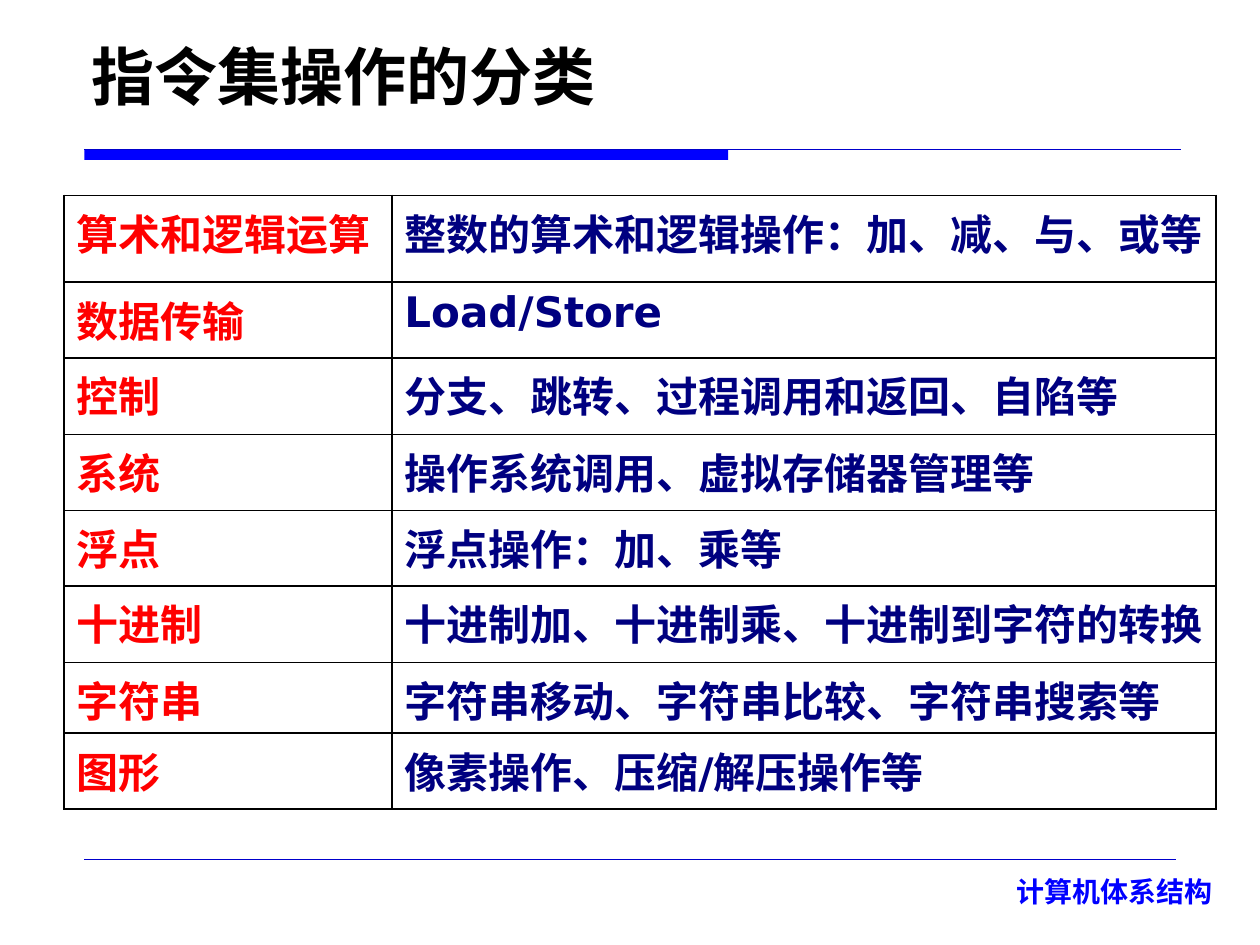
from dataclasses import dataclass

from lxml import etree
from pptx import Presentation
from pptx.dml import color
from pptx.enum import shapes, text
from pptx.oxml import ns
from pptx.util import Inches, Pt

LATIN_FONT = "DejaVu Sans"
CJK_FONT = "Noto Sans CJK SC"
BLUE, RULE_BLUE, NAVY = "0000FF", "0000CC", "000080"
RED, BLACK = "FF0000", "000000"


@dataclass(frozen=True)
class Category:
    name: str
    operations: str
    height: float = 0.6
    hanging: bool = True


CATEGORIES = [
    Category("算术和逻辑运算", "整数的算术和逻辑操作：加、减、与、或等", 0.69, False),
    Category("数据传输", "Load/Store"),
    Category("控制", "分支、跳转、过程调用和返回、自陷等", 0.61),
    Category("系统", "操作系统调用、虚拟存储器管理等"),
    Category("浮点", "浮点操作：加、乘等"),
    Category("十进制", "十进制加、十进制乘、十进制到字符的转换", 0.61, False),
    Category("字符串", "字符串移动、字符串比较、字符串搜索等", 0.56, False),
    Category("图形", "像素操作、压缩/解压操作等"),
]
COLUMN_WIDTHS = (2.6, 6.54)


def rgb(hex_color: str) -> color.RGBColor:
    return color.RGBColor.from_string(hex_color)


def write(frame, wording: str, size: float, hex_color: str, latin: str = LATIN_FONT):
    """Fill a text frame with one bold paragraph and return that paragraph."""
    frame.text = wording
    paragraph = frame.paragraphs[0]
    for run in paragraph.runs:
        run.font.size, run.font.bold, run.font.name = Pt(size), True, latin
        run.font.color.rgb = rgb(hex_color)
        east_asian = etree.SubElement(run.font._element, ns.qn("a:ea"))
        east_asian.set("typeface", CJK_FONT)
    return paragraph


def add_label(slide, left: float, top: float, width: float, height: float):
    frame = slide.shapes.add_textbox(
        Inches(left), Inches(top), Inches(width), Inches(height)).text_frame
    frame.word_wrap = True
    return frame


def add_rule(slide, left: float, right: float, y: float, weight: float) -> None:
    rule = slide.shapes.add_connector(
        shapes.MSO_CONNECTOR.STRAIGHT, Inches(left), Inches(y), Inches(right), Inches(y))
    rule.line.color.rgb = rgb(RULE_BLUE)
    rule.line.width = Pt(weight)
    etree.SubElement(rule._element.spPr, ns.qn("a:effectLst"))


def add_bar(slide, left: float, top: float, width: float, height: float) -> None:
    bar = slide.shapes.add_shape(
        shapes.MSO_SHAPE.RECTANGLE, Inches(left), Inches(top), Inches(width), Inches(height))
    bar.shadow.inherit = False
    bar.fill.solid()
    bar.fill.fore_color.rgb = rgb(BLUE)
    bar.line.fill.background()


def style_cell(cell, hanging: bool) -> None:
    """Give the cell a black outline, no fill and, if asked, a hanging indent."""
    properties = cell._tc.get_or_add_tcPr()
    for side in ("lnL", "lnR", "lnT", "lnB"):
        border = etree.SubElement(properties, ns.qn(f"a:{side}"), w=str(Pt(0.96)))
        fill = etree.SubElement(border, ns.qn("a:solidFill"))
        etree.SubElement(fill, ns.qn("a:srgbClr"), val=BLACK)
    cell.fill.background()
    if hanging:
        indent = Inches(0.51)
        paragraph_properties = cell.text_frame.paragraphs[0]._p.get_or_add_pPr()
        paragraph_properties.set("marL", str(indent))
        paragraph_properties.set("indent", str(-indent))


def add_category_table(slide, left: float, top: float) -> None:
    total_height = sum(category.height for category in CATEGORIES)
    table = slide.shapes.add_table(
        len(CATEGORIES), len(COLUMN_WIDTHS), Inches(left), Inches(top),
        Inches(sum(COLUMN_WIDTHS)), Inches(total_height)).table
    table.first_row = table.horz_banding = False
    for column, width in zip(table.columns, COLUMN_WIDTHS):
        column.width = Inches(width)
    for row, category in zip(table.rows, CATEGORIES):
        row.height = Inches(category.height)
        name_cell, operations_cell = row.cells
        write(name_cell.text_frame, category.name, 24, RED)
        write(operations_cell.text_frame, category.operations, 24, NAVY)
        style_cell(name_cell, True)
        style_cell(operations_cell, category.hanging)


def main() -> None:
    deck = Presentation()
    deck.slide_width, deck.slide_height = Inches(10), Inches(7.5)
    slide = deck.slides.add_slide(deck.slide_layouts[6])

    add_bar(slide, 0.67, 1.19, 5.11, 0.08)
    add_rule(slide, 0.67, 9.37, 1.19, 0.5)
    add_rule(slide, 0.67, 9.33, 6.82, 0.25)

    course = add_label(slide, 7.27, 6.89, 2.45, 0.43)
    write(course, "计算机体系结构", 16, BLUE, CJK_FONT).alignment = text.PP_ALIGN.RIGHT

    title = add_label(slide, 0.63, 0.21, 6.5, 0.74)
    title.vertical_anchor = text.MSO_ANCHOR.BOTTOM
    write(title, "指令集操作的分类", 36, BLACK)

    add_category_table(slide, 0.51, 1.55)
    deck.save("out.pptx")


if __name__ == "__main__":
    main()
